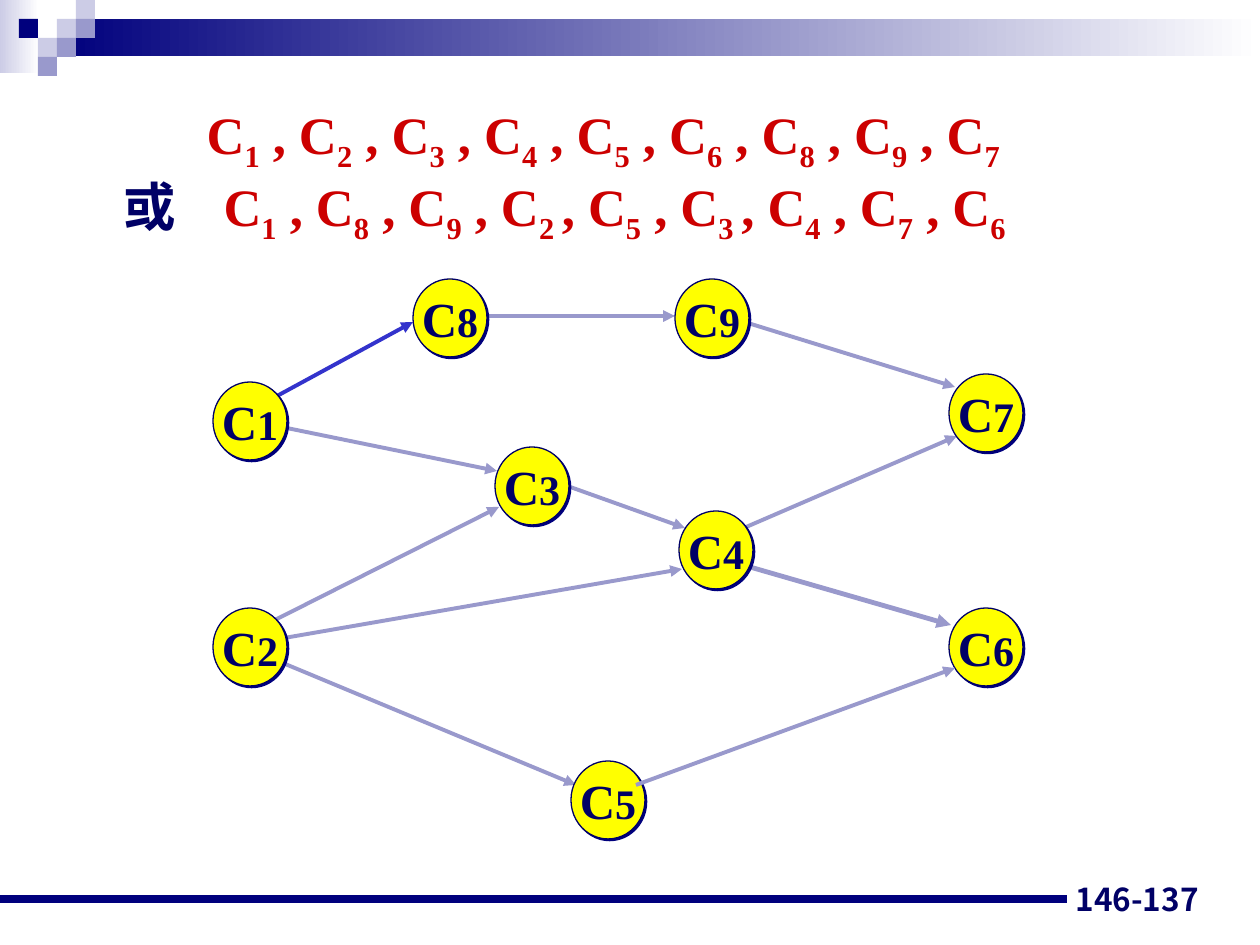
from lxml.etree import SubElement
from pptx import Presentation
from pptx.dml.color import RGBColor
from pptx.enum.shapes import MSO_CONNECTOR as Connector, MSO_SHAPE as Shape
from pptx.enum.text import MSO_ANCHOR as Anchor, MSO_AUTO_SIZE as AutoSize, PP_ALIGN as Align
from pptx.oxml.ns import qn
from pptx.util import Emu, Pt

EMU_PER_PX = 914400 / 126
NAVY = RGBColor(0x00, 0x00, 0x7D)
INK = RGBColor(0x00, 0x00, 0x66)
RED = RGBColor(0xCC, 0x00, 0x00)
YELLOW = RGBColor(0xFF, 0xFF, 0x00)
BLUE = RGBColor(0x33, 0x33, 0xCC)
LAVENDER = RGBColor(0x99, 0x99, 0xCC)
PALE = RGBColor(0xCC, 0xCC, 0xE6)
WHITE = RGBColor(0xFF, 0xFF, 0xFF)
SERIF = "Times New Roman"
SANS = "Noto Sans CJK JP"

TILE = 19
TILES = [(3, 0, PALE), (4, 0, PALE), (4, 1, LAVENDER), (2, 2, PALE),
         (1, 1, NAVY), (3, 2, LAVENDER), (2, 3, LAVENDER)]
TILES[0] = (3, 1, PALE)

# A trailing space belongs to the subscript and replaces the one before the comma.
FIRST_ORDER = ["1", "2", "3", "4", "5", "6", "8", "9", "7"]
SECOND_ORDER = ["1", "8", "9", "2 ", "5", "3 ", "4", "7", "6"]

NODE_WIDTH, NODE_HEIGHT = 74, 78
NODES = {"8": (413, 279), "3": (495, 447), "5": (571, 761),
         "4": (679, 511), "9": (675, 279), "6": (949, 608),
         "7": (949, 374), "1": (213, 382), "2": (213, 608)}
# Start, end, colour, width in points
EDGES_BEHIND = [
    ((267, 641), (682, 569), LAVENDER, 2.25),
    ((559, 483), (685, 528), LAVENDER, 2.25),
    ((738, 320), (955, 387), LAVENDER, 2.25),
    ((730, 534), (957, 436), LAVENDER, 2.25),
    ((455, 316), (675, 316), LAVENDER, 2.25),
    ((743, 565), (951, 625), LAVENDER, 2.75),
    ((266, 656), (576, 785), LAVENDER, 2.25),
    ((265, 625), (499, 507), LAVENDER, 2.25),
    ((233, 417), (497, 471), LAVENDER, 2.25),
    ((266, 402), (413, 322), BLUE, 2.25),
]
EDGE_IN_FRONT = ((636, 785), (955, 668), LAVENDER, 2.25)


def px(value):
    return Emu(round(value * EMU_PER_PX))


def add_run(paragraph, text, size, color, font=SERIF, subscript=False):
    run = paragraph.add_run()
    run.text = text
    run.font.size = Pt(size)
    run.font.bold = True
    run.font.color.rgb = color
    run.font.name = font
    properties = run._r.get_or_add_rPr()
    SubElement(properties, qn("a:ea"), typeface=SANS)
    if subscript:
        properties.set("baseline", "-25000")


def add_rectangle(slide, left, top, width, height, *colors):
    """One colour gives a solid fill, two a left-to-right gradient."""
    shape = slide.shapes.add_shape(Shape.RECTANGLE, px(left), px(top), px(width), px(height))
    shape.shadow.inherit = False
    shape.line.fill.background()
    if len(colors) == 1:
        shape.fill.solid()
        shape.fill.fore_color.rgb = colors[0]
        return
    shape.fill.gradient()
    shape.fill.gradient_angle = 0
    for stop, color in zip(shape.fill.gradient_stops, colors):
        stop.color.rgb = color


def add_line(slide, start, end, color, width, arrow=True):
    line = slide.shapes.add_connector(
        Connector.STRAIGHT, px(start[0]), px(start[1]), px(end[0]), px(end[1]))
    line.line.color.rgb = color
    line.line.width = Pt(width)
    if arrow:
        SubElement(line.line._get_or_add_ln(), qn("a:tailEnd"), type="triangle")
    SubElement(line._element.spPr, qn("a:effectLst"))


def add_node(slide, number, left, top):
    node = slide.shapes.add_shape(
        Shape.OVAL, px(left), px(top), px(NODE_WIDTH), px(NODE_HEIGHT))
    node.fill.solid()
    node.fill.fore_color.rgb = YELLOW
    node.line.color.rgb = INK
    node.line.width = Pt(0.75)
    node.shadow.inherit = False
    effects = node._element.spPr.find(qn("a:effectLst"))
    shadow = SubElement(effects, qn("a:outerShdw"), dist=str(Pt(1.4)),
                        dir="2700000", algn="ctr", rotWithShape="0")
    SubElement(shadow, qn("a:srgbClr"), val=str(NAVY))
    frame = node.text_frame
    frame.word_wrap = False
    frame.vertical_anchor = Anchor.MIDDLE
    paragraph = frame.paragraphs[0]
    paragraph.alignment = Align.CENTER
    add_run(paragraph, "C", 28, INK)
    add_run(paragraph, number, 24, INK)


def format_list_line(paragraph, margin, indent):
    properties = paragraph._p.get_or_add_pPr()
    properties.set("marL", str(px(margin)))
    properties.set("indent", str(px(indent)))
    SubElement(properties, qn("a:buNone"))
    paragraph.space_before = Pt(0)


def add_order(paragraph, subscripts):
    lead = "C"
    for subscript in subscripts:
        add_run(paragraph, lead, 30, RED)
        add_run(paragraph, subscript, 30, RED, subscript=True)
        lead = ", C" if subscript.endswith(" ") else " , C"


def fill_body(body):
    body.left, body.top, body.width, body.height = px(63), px(96), px(1134), px(171)
    frame = body.text_frame
    frame.auto_size = AutoSize.NONE
    frame.word_wrap = True
    frame.vertical_anchor = Anchor.TOP
    first = frame.paragraphs[0]
    format_list_line(first, 131, 0)
    add_order(first, FIRST_ORDER)
    second = frame.add_paragraph()
    format_list_line(second, 148, -100)
    add_run(second, "或\t", 30, INK)
    add_order(second, SECOND_ORDER)


def add_page_number(slide):
    box = slide.shapes.add_textbox(px(917), px(861), px(294), px(63))
    frame = box.text_frame
    frame.word_wrap = True
    frame.vertical_anchor = Anchor.BOTTOM
    paragraph = frame.paragraphs[0]
    paragraph.alignment = Align.RIGHT
    add_run(paragraph, "146-137", 18, INK, SANS)


def add_frame(slide):
    add_rectangle(slide, 0, 0, 39, 73, PALE, WHITE)
    add_rectangle(slide, 57, 19, 1203, 37, NAVY, WHITE)
    for column, row, color in TILES:
        add_rectangle(slide, column * TILE, row * TILE, TILE, TILE, color)
    add_line(slide, (0, 899), (1067, 899), NAVY, 4.5, arrow=False)


def main():
    presentation = Presentation()
    presentation.slide_width, presentation.slide_height = px(1260), px(945)
    slide = presentation.slides.add_slide(presentation.slide_layouts[1])
    title = slide.shapes.title
    title._element.getparent().remove(title._element)
    fill_body(slide.placeholders[1])
    add_frame(slide)
    add_page_number(slide)
    for edge in EDGES_BEHIND:
        add_line(slide, *edge)
    for number, (left, top) in NODES.items():
        add_node(slide, number, left, top)
    add_line(slide, *EDGE_IN_FRONT)
    presentation.save("out.pptx")


if __name__ == "__main__":
    main()
